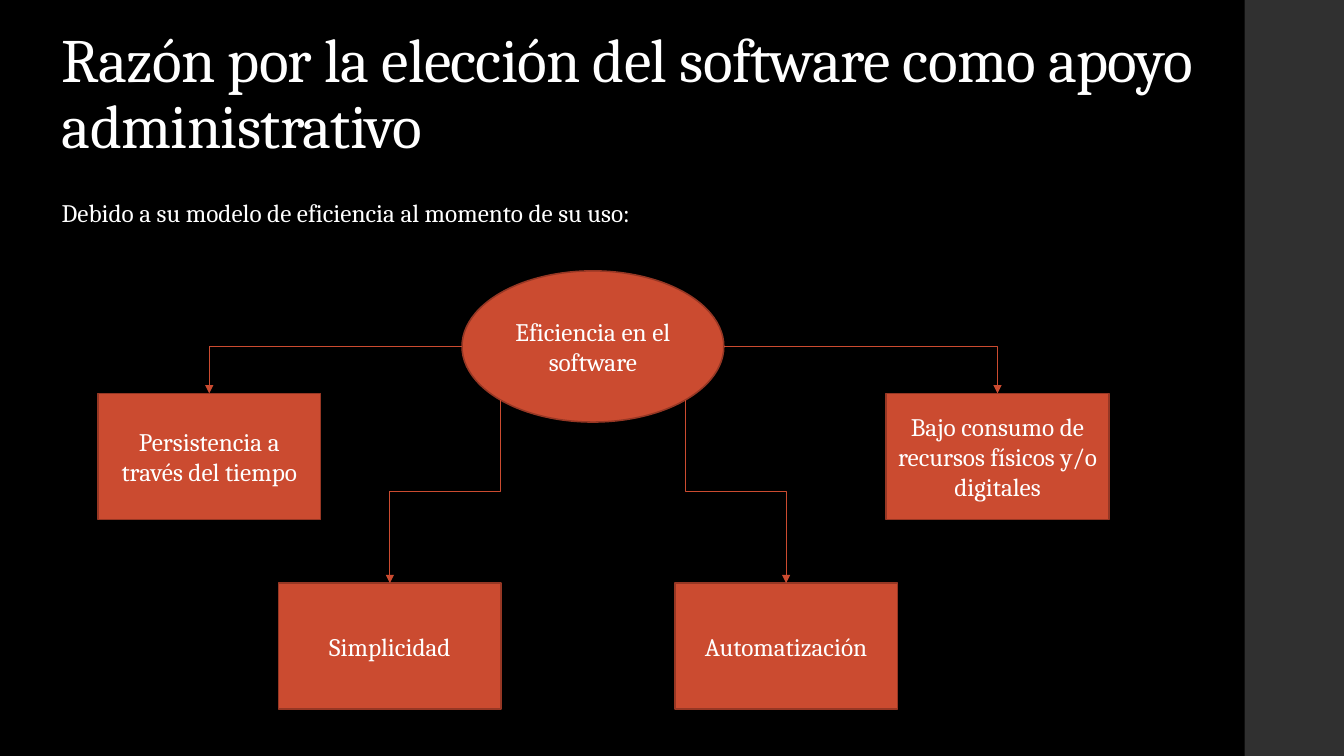
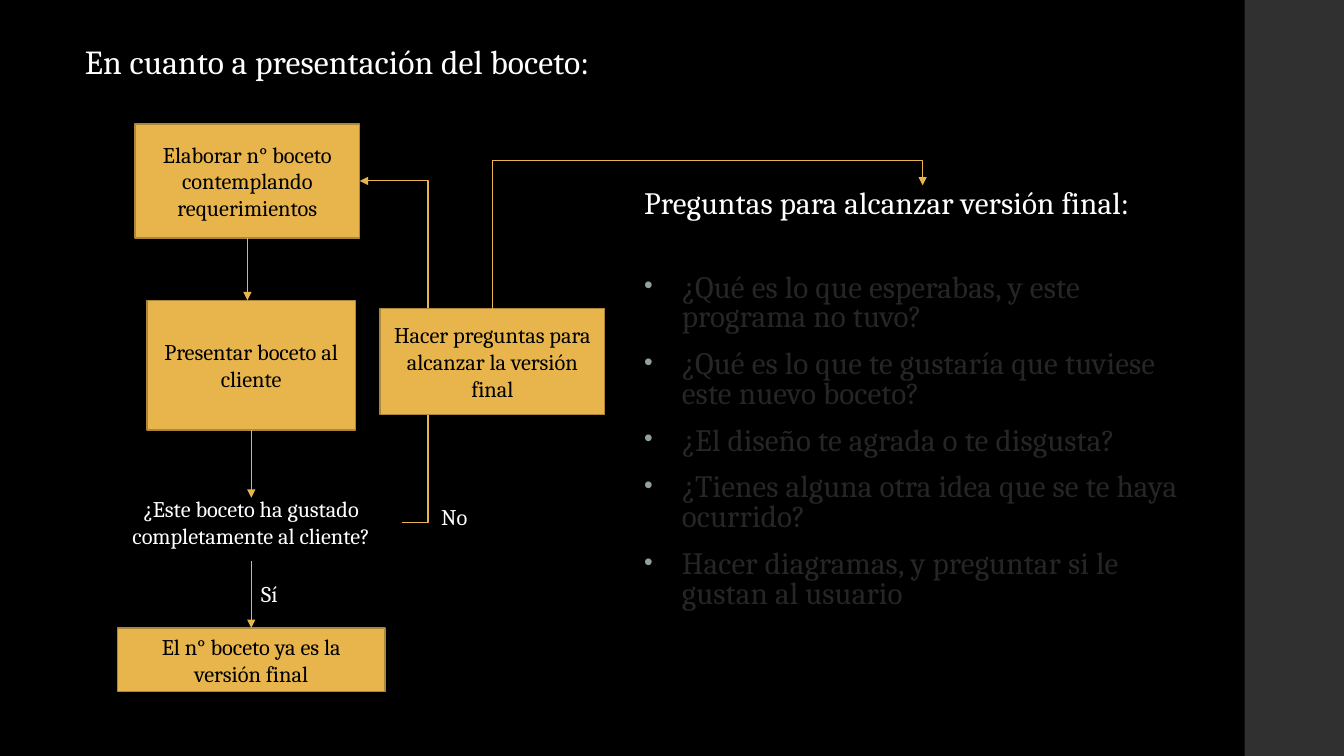
"""Build two slides: the software efficiency diagram and the sketch approval flow."""
from math import sqrt

from lxml.etree import SubElement
from pptx import Presentation
from pptx.dml.color import RGBColor
from pptx.enum.shapes import MSO_CONNECTOR as CONNECTOR, MSO_SHAPE as SHAPE
from pptx.enum.text import MSO_ANCHOR as ANCHOR, MSO_AUTO_SIZE as AUTO_SIZE, PP_ALIGN as ALIGN
from pptx.oxml.ns import qn
from pptx.util import Pt

COLORS = {
    "background": "000000",
    "band": "303030",
    "white": "FFFFFF",
    "black": "000000",
    "red": "CB4B30",
    "red_line": "963724",
    "gold": "E8B54D",
    "gold_line": "AC8639",
    "bullet": "93A299",
    "dim": "262626",
}
FONT = "Cambria"
SLIDE_WIDTH, SLIDE_HEIGHT = 960, 540
BAND_LEFT = 889
TOP, LEFT, BOTTOM, RIGHT = range(4)


def color(name):
    return RGBColor.from_string(COLORS[name])


def add_run(paragraph, text, size, color_name, spacing=None):
    run = paragraph.add_run()
    run.text = text
    run.font.name = FONT
    run.font.size = Pt(size)
    run.font.color.rgb = color(color_name)
    if spacing is not None:
        run.font._element.set("spc", str(spacing))


def set_up_master(presentation, slide):
    master = presentation.slide_master
    master.background.fill.solid()
    master.background.fill.fore_color.rgb = color("background")
    band = slide.shapes.add_shape(
        SHAPE.RECTANGLE, Pt(BAND_LEFT), 0, Pt(SLIDE_WIDTH - BAND_LEFT), Pt(SLIDE_HEIGHT))
    band.shadow.inherit = False
    band.fill.solid()
    band.fill.fore_color.rgb = color("band")
    band.line.fill.background()
    master.element.cSld.spTree.insert(2, band.element)


def set_title(slide, text, box, size, anchor, spacing):
    title = slide.shapes.title
    title.left, title.top, title.width, title.height = map(Pt, box)
    frame = title.text_frame
    frame.word_wrap = True
    frame.auto_size = AUTO_SIZE.NONE
    frame.vertical_anchor = anchor
    paragraph = frame.paragraphs[0]
    paragraph.alignment = ALIGN.LEFT
    paragraph.line_spacing = 0.9
    add_run(paragraph, text, size, "white", spacing)


def add_text(slide, text, box, size, wrap=True):
    frame = slide.shapes.add_textbox(*map(Pt, box)).text_frame
    frame.word_wrap = wrap
    add_run(frame.paragraphs[0], text, size, "white")


def add_node(slide, text, box, size, fill, line, text_color, kind=SHAPE.RECTANGLE):
    node = slide.shapes.add_shape(kind, *map(Pt, box))
    node.shadow.inherit = False
    node.fill.solid()
    node.fill.fore_color.rgb = color(fill)
    node.line.color.rgb = color(line)
    node.line.width = Pt(1.1)
    frame = node.text_frame
    frame.word_wrap = True
    frame.vertical_anchor = ANCHOR.MIDDLE
    paragraph = frame.paragraphs[0]
    paragraph.alignment = ALIGN.CENTER
    add_run(paragraph, text, size, text_color)
    return node


def add_arrow(slide, start, end, color_name, kind=CONNECTOR.STRAIGHT):
    arrow = slide.shapes.add_connector(kind, *map(Pt, (*start, *end)))
    arrow.line.color.rgb = color(color_name)
    arrow.line.width = Pt(0.75)
    SubElement(arrow.line._get_or_add_ln(), qn("a:tailEnd"), type="triangle")
    SubElement(arrow.element.spPr, qn("a:effectLst"))
    return arrow


def add_bent_arrow(slide, start, end, color_name, preset="bentConnector3",
                   upright=False, bend=None):
    if upright:
        middle_x, middle_y = (start[0] + end[0]) / 2, (start[1] + end[1]) / 2
        start, end = ((middle_x + y - middle_y, middle_y - x + middle_x)
                      for x, y in (start, end))
    arrow = add_arrow(slide, start, end, color_name, CONNECTOR.ELBOW)
    properties = arrow.element.spPr
    if upright:
        properties.find(qn("a:xfrm")).set("rot", "5400000")
    geometry = properties.find(qn("a:prstGeom"))
    geometry.set("prst", preset)
    if bend is not None:
        SubElement(geometry.find(qn("a:avLst")), qn("a:gd"),
                   name="adj1", fmla=f"val {round(bend * 100000)}")


def add_efficiency_diagram(slide, left, top):
    style = (18, "red", "red_line", "white")
    oval_width, oval_height = 187, 108
    oval_left = left + 260
    add_node(slide, "Eficiencia en el software",
             (oval_left, top, oval_width, oval_height), *style, kind=SHAPE.OVAL)
    center_x, center_y = oval_left + oval_width / 2, top + oval_height / 2
    width, height = 159, 90
    upper, lower = top + 87.5, top + 223
    branches = [
        ("Persistencia a través del tiempo", 0, upper, -1),
        ("Bajo consumo de recursos físicos y/o digitales", 563, upper, 1),
        ("Simplicidad", 129, lower, -1),
        ("Automatización", 412, lower, 1),
    ]
    for text, offset, node_top, side in branches:
        add_node(slide, text, (left + offset, node_top, width, height), *style)
        end = (left + offset + width / 2, node_top)
        if node_top == upper:
            start = (center_x + side * oval_width / 2, center_y)
            add_bent_arrow(slide, start, end, "red", "bentConnector2")
        else:
            start = (center_x + side * oval_width / sqrt(8), center_y + oval_height / sqrt(8))
            add_bent_arrow(slide, start, end, "red", upright=True)


def add_sketch_flow(slide, left, top, questions_top_middle):
    style = (16, "gold", "gold_line", "black")

    def place(x, y, *size):
        return (left + x, top + y, *size)

    draft = add_node(slide, "Elaborar n° boceto contemplando requerimientos",
                     place(25, 0, 160.5, 81.5), *style)
    show = add_node(slide, "Presentar boceto al cliente", place(33.5, 126, 149, 92.5), *style)
    decision = add_node(slide, "¿Este boceto ha gustado completamente al cliente?",
                        place(0, 267, 216, 35), 16, "black", "black", "white")
    final = add_node(slide, "El n° boceto ya es la versión final",
                     place(12.5, 360, 191, 45.5), *style)
    add_arrow(slide, place(105.25, 81.5), place(105.25, 126), "gold").begin_connect(draft, BOTTOM)
    approval = add_arrow(slide, place(108, 218.5), place(108, 267), "gold")
    approval.begin_connect(show, BOTTOM)
    approval.end_connect(decision, TOP)
    add_arrow(slide, place(108, 312), place(108, 360), "gold").end_connect(final, TOP)
    add_text(slide, "Sí", place(108, 322.5, 42.5, 27), 16)
    add_bent_arrow(slide, place(216, 284.5), place(185.5, 40.75), "gold", bend=-0.6)
    add_text(slide, "No", place(236.5, 267, 36, 27), 16, wrap=False)
    add_node(slide, "Hacer preguntas para alcanzar la versión final",
             place(200, 132, 160.5, 75.5), *style)
    add_bent_arrow(slide, place(280.25, 132), questions_top_middle, "gold",
                   upright=True, bend=1.2)


def add_bullet(paragraph):
    properties = paragraph._p.get_or_add_pPr()
    properties.set("marL", str(Pt(27)))
    properties.set("indent", str(Pt(-27)))
    bullet_color = SubElement(properties, qn("a:buClr"))
    SubElement(bullet_color, qn("a:srgbClr"), val=COLORS["bullet"])
    SubElement(properties, qn("a:buSzPct"), val="80000")
    SubElement(properties, qn("a:buFont"), typeface="Arial")
    SubElement(properties, qn("a:buChar"), char="•")


def add_questions(slide, box):
    frame = slide.shapes.add_textbox(*map(Pt, box)).text_frame
    frame.word_wrap = True
    heading = frame.paragraphs[0]
    heading.line_spacing = 0.8
    heading.space_after = Pt(28.5)
    add_run(heading, "Preguntas para alcanzar versión final:", 22.2, "white", 10)
    questions = [
        "¿Qué es lo que esperabas, y este programa no tuvo?",
        "¿Qué es lo que te gustaría que tuviese este nuevo boceto?",
        "¿El diseño te agrada o te disgusta?",
        "¿Tienes alguna otra idea que se te haya ocurrido?",
        "Hacer diagramas, y preguntar si le gustan al usuario",
    ]
    for question in questions:
        paragraph = frame.add_paragraph()
        add_bullet(paragraph)
        paragraph.line_spacing = 0.8
        paragraph.space_before = Pt(10)
        paragraph.space_after = Pt(2)
        add_run(paragraph, question, 22.2, "dim", 10)


def build_reason_slide(slide):
    set_title(slide, "Razón por la elección del software como apoyo administrativo",
              (37, 39.5, 826, 80), 44, ANCHOR.BOTTOM, -50)
    add_text(slide, "Debido a su modelo de eficiencia al momento de su uso:",
             (37, 137.5, 755, 29), 18)
    add_efficiency_diagram(slide, 70, 193.5)


def build_sketch_slide(slide):
    set_title(slide, "En cuanto a presentación del boceto:",
              (53.5, 29, 821, 40), 24, ANCHOR.TOP, 10)
    left, top, width, height = 453, 132.5, 412, 322.5
    add_questions(slide, (left, top, width, height))
    add_sketch_flow(slide, 71.5, 88.5, (left + width / 2, top))


def main():
    presentation = Presentation()
    presentation.slide_width, presentation.slide_height = Pt(SLIDE_WIDTH), Pt(SLIDE_HEIGHT)
    title_only = presentation.slide_layouts[5]
    reason_slide, sketch_slide = (presentation.slides.add_slide(title_only) for _ in range(2))
    set_up_master(presentation, reason_slide)
    build_reason_slide(reason_slide)
    build_sketch_slide(sketch_slide)
    presentation.save("out.pptx")


if __name__ == "__main__":
    main()
